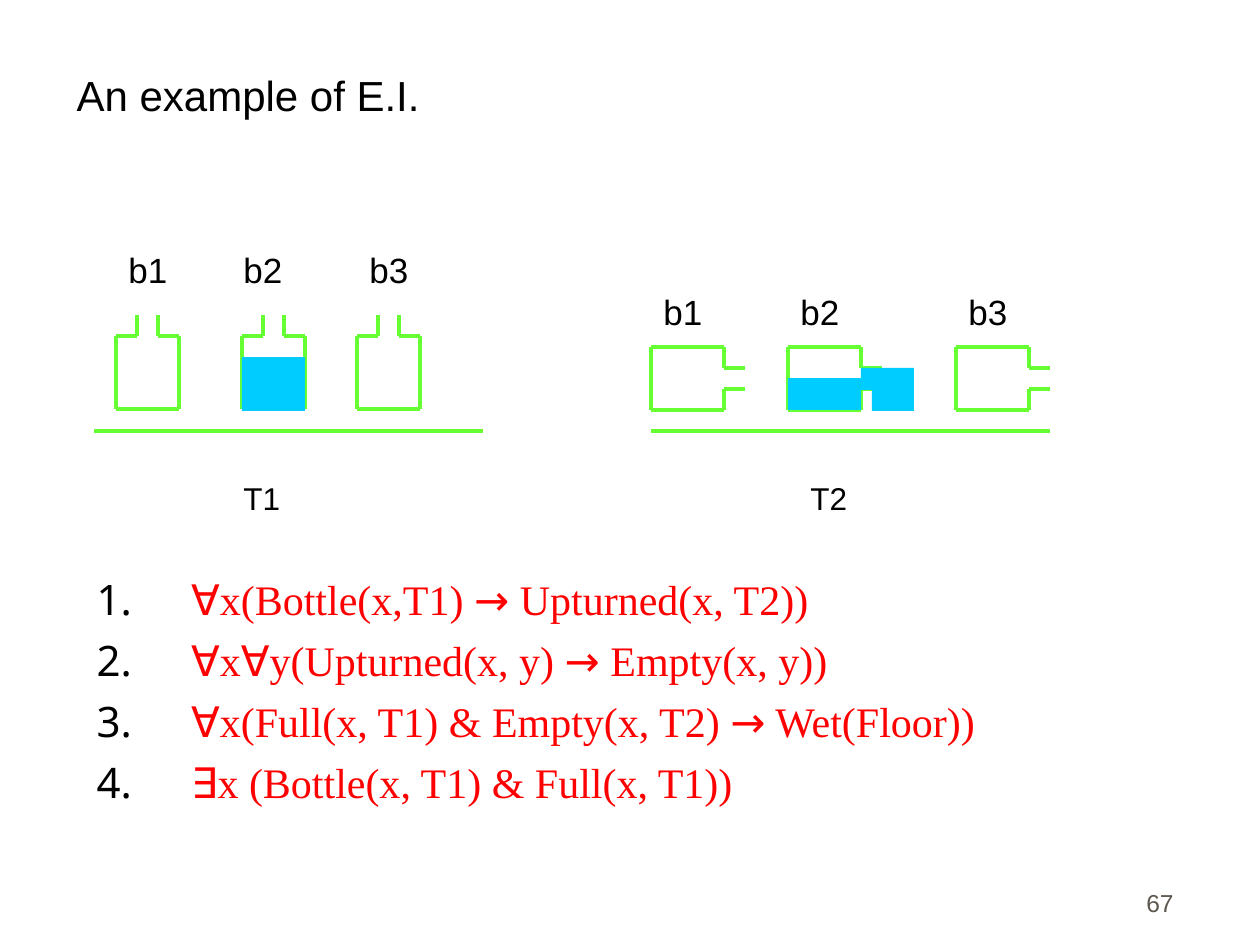
from lxml.etree import SubElement
from pptx import Presentation
from pptx.dml.color import RGBColor
from pptx.enum.shapes import MSO_CONNECTOR, MSO_SHAPE
from pptx.enum.text import MSO_ANCHOR, MSO_AUTO_SIZE, PP_ALIGN
from pptx.oxml.ns import qn
from pptx.util import Emu, Pt

BLACK, RED, GREEN, BLUE, GREY = "000000", "FF0000", "66FF33", "00CCFF", "5E574E"
PX_PER_INCH = 126


def px(*lengths):
    return [Emu(round(length * 914400 / PX_PER_INCH)) for length in lengths]


def colour(value):
    return RGBColor.from_string(value)


class SlideBuilder:
    sans, serif, symbol = "Arial", "Times New Roman", "Noto Sans"
    line_width = Pt(2.25)

    def __init__(self, slide):
        self.slide = slide

    def format_run(self, run, size, ink, font):
        run.font.size = Pt(size)
        run.font.name = font
        run.font.color.rgb = colour(ink)

    def place(self, shape, box):
        shape.left, shape.top, shape.width, shape.height = px(*box)

    def set_words(self, shape, words, size, ink, align, anchor):
        frame = shape.text_frame
        frame.text = words
        frame.word_wrap = True
        frame.auto_size = MSO_AUTO_SIZE.NONE
        frame.vertical_anchor = anchor
        paragraph = frame.paragraphs[0]
        paragraph.alignment = align
        self.format_run(paragraph.runs[0], size, ink, self.sans)

    def title(self, words, box):
        shape = self.slide.shapes.title
        self.place(shape, box)
        self.set_words(shape, words, 24, BLACK, PP_ALIGN.LEFT, MSO_ANCHOR.BOTTOM)

    def label(self, words, box, size, ink=BLACK, align=PP_ALIGN.LEFT, anchor=MSO_ANCHOR.TOP):
        shape = self.slide.shapes.add_textbox(*px(*box))
        self.set_words(shape, words, size, ink, align, anchor)

    def numbered_list(self, formulas, box):
        body = self.slide.placeholders[1]
        self.place(body, box)
        frame = body.text_frame
        frame.auto_size = MSO_AUTO_SIZE.NONE
        frame.vertical_anchor = MSO_ANCHOR.TOP
        for number, formula in enumerate(formulas):
            paragraph = frame.add_paragraph() if number else frame.paragraphs[0]
            paragraph.space_before = Pt(6 if number else 0)
            for part in formula:
                run = paragraph.add_run()
                run.text = part
                font = self.symbol if part in "∀∃→" else self.serif
                self.format_run(run, 24, RED, font)
            self.number(paragraph)

    def number(self, paragraph):
        properties = paragraph._p.get_or_add_pPr()
        properties.set("marL", "685800")
        properties.set("indent", "-685800")
        bullet_colour = SubElement(properties, qn("a:buClr"))
        SubElement(bullet_colour, qn("a:srgbClr"), val=BLACK)
        SubElement(properties, qn("a:buAutoNum"), type="arabicPeriod")

    def line(self, start, end, shapes=None):
        shapes = shapes or self.slide.shapes
        connector = shapes.add_connector(MSO_CONNECTOR.STRAIGHT, *px(*start, *end))
        connector.line.color.rgb = colour(GREEN)
        connector.line.width = self.line_width
        SubElement(connector._element.spPr, qn("a:effectLst"))

    def bottle(self, left, top, lying=False):
        width, height, neck_left, neck_right, neck_length = 63, 73, 21, 42, 21
        outline = [
            ((0, 0), (0, height)),
            ((0, height), (width, height)),
            ((width, height), (width, 0)),
            ((width, 0), (neck_right, 0)),
            ((neck_right, 0), (neck_right, -neck_length)),
            ((neck_left, 0), (0, 0)),
            ((neck_left, -neck_length), (neck_left, 0)),
        ]

        def position(point):
            across, down = point
            if lying:
                across, down = height - down, across
            return left + across, top + down

        group = self.slide.shapes.add_group_shape()
        for start, end in outline:
            self.line(position(start), position(end), group.shapes)

    def liquid(self, box):
        shape = self.slide.shapes.add_shape(MSO_SHAPE.RECTANGLE, *px(*box))
        shape.shadow.inherit = False
        shape.fill.solid()
        shape.fill.fore_color.rgb = colour(BLUE)
        shape.line.fill.background()


def main():
    presentation = Presentation()
    presentation.slide_width, presentation.slide_height = px(1260, 945)
    builder = SlideBuilder(presentation.slides.add_slide(presentation.slide_layouts[1]))

    builder.title("An example of E.I.", (64, 32, 1124, 94))
    builder.numbered_list(
        [
            ["∀", "x(Bottle(x,T1) ", "→", " Upturned(x, T2))"],
            ["∀", "x", "∀", "y(Upturned(x, y) ", "→", " Empty(x, y))"],
            ["∀", "x(Full(x, T1) & Empty(x, T2) ", "→", " Wet(Floor))"],
            ["∃", "x (Bottle(x, T1) & Full(x, T1))"],
        ],
        (84, 567, 1071, 262),
    )
    builder.label("67", (924, 861, 262, 63), 14, GREY, PP_ALIGN.RIGHT, MSO_ANCHOR.BOTTOM)

    scenes = [
        ("T1", 231, (94, 483), 242, (116, 242, 357), (116, 231, 357), 336, False),
        ("T2", 798, (651, 1050), 284, (651, 788, 956), (651, 788, 956), 347, True),
    ]
    for time, time_left, floor, names_top, bottles, names, bottle_top, lying in scenes:
        builder.line((floor[0], 431), (floor[1], 431))
        builder.label(time, (time_left, 473, 90, 50), 18)
        for index, (bottle_left, name_left) in enumerate(zip(bottles, names), 1):
            builder.bottle(bottle_left, bottle_top, lying)
            builder.label(f"b{index}", (name_left, names_top, 80, 55), 20)

    for puddle in [(242, 357, 63, 54), (788, 378, 73, 32), (861, 368, 53, 22), (872, 388, 42, 23)]:
        builder.liquid(puddle)

    presentation.save("out.pptx")


if __name__ == "__main__":
    main()
